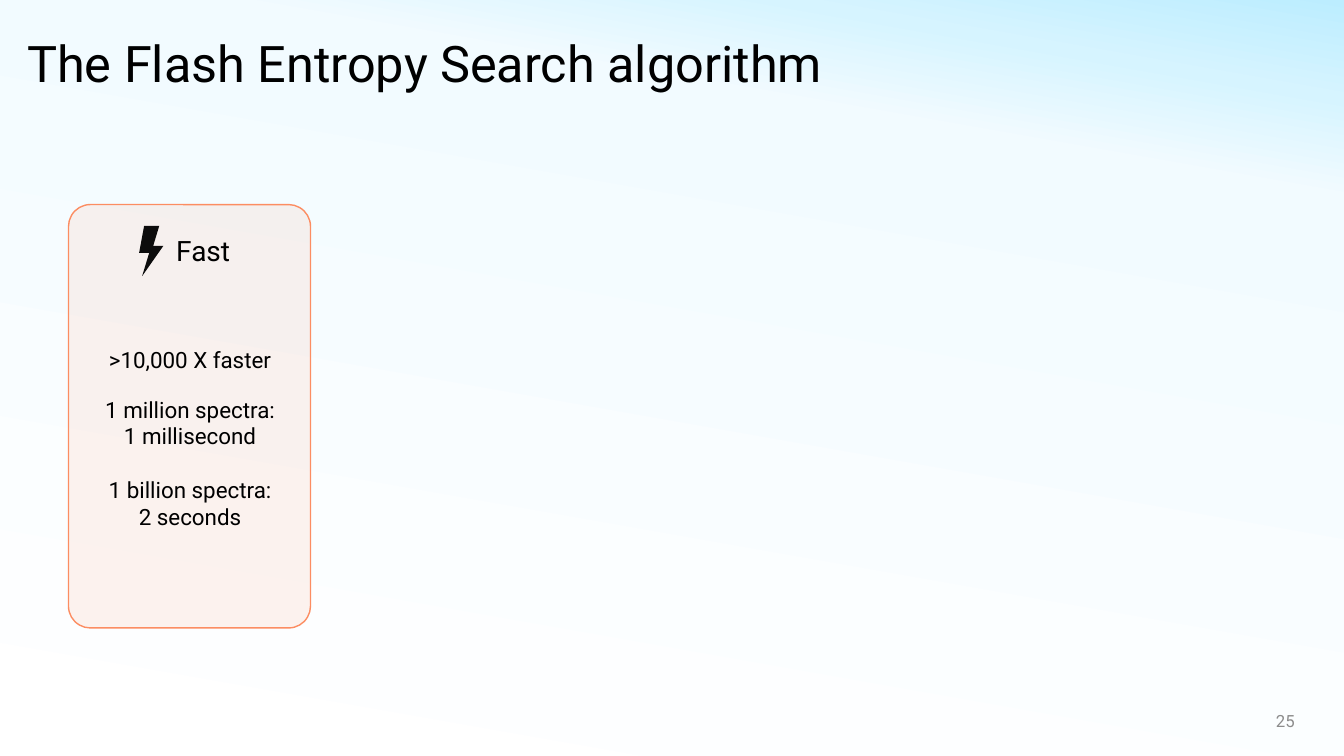
import pptx
import pptx.util
from lxml import etree
from pptx.dml.color import RGBColor
from pptx.enum.shapes import MSO_SHAPE
from pptx.enum.text import MSO_ANCHOR, PP_ALIGN
from pptx.oxml import parse_xml
from pptx.oxml.ns import nsdecls, qn
from pptx.util import Inches, Pt

# Content
TITLE = "The Flash Entropy Search algorithm"
PAGE = "25"
CARD_TITLE = "Fast"
# (line, space before in points)
CARD_LINES = [
    (">10,000 X faster", 0),
    ("1 million spectra:", 16.5),
    ("1 millisecond", 0),
    ("1 billion spectra:", 19),
    ("2 seconds", 0),
]
BOLT = [(1.41, 2.74), (1.48, 2.51), (1.38, 2.51), (1.43, 2.24),
        (1.58, 2.24), (1.52, 2.44), (1.62, 2.44)]

# Style
FONT = "Roboto"
BLACK = RGBColor(0x00, 0x00, 0x00)
GRAY = RGBColor(0x8C, 0x8C, 0x8C)
ORANGE = RGBColor(0xFC, 0x8D, 0x62)
BG_STOPS = [(0, "FFFFFF"), (80, "F2FBFF"), (90, "D6F4FF"), (100, "BCEDFF")]
BG_ANGLE = 280


def set_background(s):
    s.background.fill.gradient()
    grad = s.background._cSld.find(".//" + qn("a:gradFill"))
    stops = "".join(
        f'<a:gs pos="{pos * 1000}"><a:srgbClr val="{color}"/></a:gs>'
        for pos, color in BG_STOPS)
    grad.getparent().replace(grad, parse_xml(
        f'<a:gradFill {nsdecls("a")} rotWithShape="1"><a:gsLst>{stops}</a:gsLst>'
        f'<a:lin ang="{BG_ANGLE * 60000}" scaled="0"/></a:gradFill>'))


def set_fill(sp, color, opacity):
    sp.shadow.inherit = False
    sp.fill.solid()
    sp.fill.fore_color.rgb = color
    clr = sp._element.spPr.find(qn("a:solidFill")).find(qn("a:srgbClr"))
    etree.SubElement(clr, qn("a:alpha")).set("val", str(opacity * 1000))


def add_text(s, box, lines, size, color=BLACK, align=PP_ALIGN.CENTER,
             anchor=MSO_ANCHOR.TOP, wrap=True, spacing=None):
    tf = s.shapes.add_textbox(*map(Inches, box)).text_frame
    tf.word_wrap = wrap
    tf.vertical_anchor = anchor
    for i, (text, before) in enumerate(lines):
        p = tf.paragraphs[0] if i == 0 else tf.add_paragraph()
        p.text = text
        p.alignment = align
        if before:
            p.space_before = Pt(before)
        if spacing:
            p.line_spacing = spacing
        font = p.runs[0].font
        font.name, font.size = FONT, Pt(size)
        font.color.rgb = color


prs = pptx.Presentation()
prs.slide_width, prs.slide_height = Inches(13.33), Inches(7.5)
s = prs.slides.add_slide(prs.slide_layouts[6])
set_background(s)

# Title and page number
add_text(s, (0.17, 0.26, 13.06, 0.79), [(TITLE, 0)], 36,
         align=PP_ALIGN.LEFT, anchor=MSO_ANCHOR.MIDDLE, spacing=0.9)
add_text(s, (12.44, 6.95, 0.5, 0.4), [(PAGE, 0)], 12, GRAY,
         align=PP_ALIGN.RIGHT, anchor=MSO_ANCHOR.MIDDLE)

# Card
card = s.shapes.add_shape(MSO_SHAPE.ROUNDED_RECTANGLE, Inches(0.68),
                          Inches(2.03), Inches(2.4), Inches(4.2))
card.adjustments[0] = 0.09
set_fill(card, ORANGE, 10)
card.line.color.rgb = ORANGE
card.line.width = Pt(1)

# Card heading with lightning bolt
add_text(s, (1.64, 2.27, 0.75, 0.44), [(CARD_TITLE, 0)], 20, wrap=False)
points = [(Inches(x), Inches(y)) for x, y in BOLT]
builder = s.shapes.build_freeform(*points[0])
builder.add_line_segments(points[1:], close=True)
bolt = builder.convert_to_shape()
set_fill(bolt, BLACK, 95)
bolt.line.fill.background()

# Card text
add_text(s, (0.81, 3.38, 2.15, 1.95), CARD_LINES, 16)

prs.save("out.pptx")
